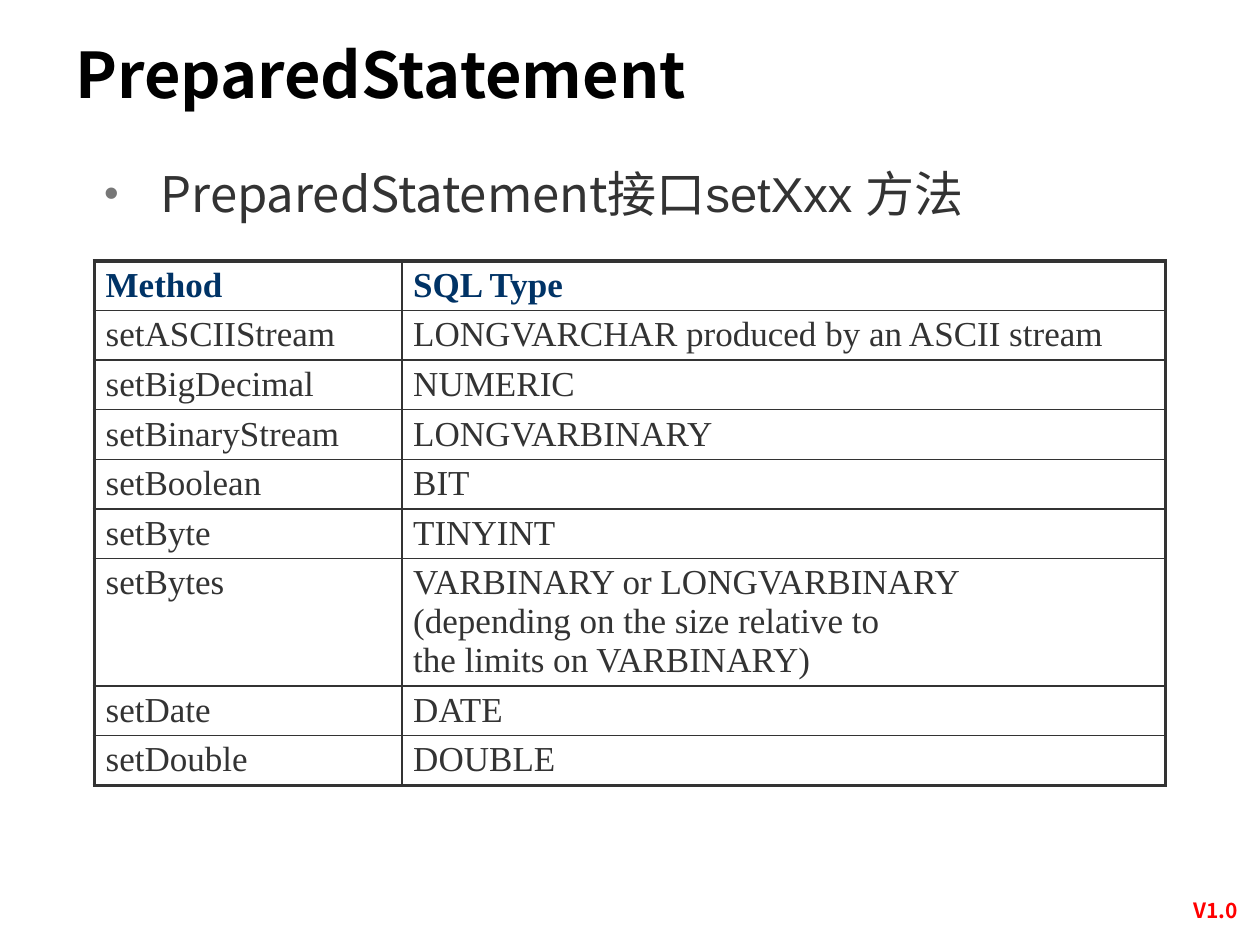
from pptx import Presentation
from pptx import util as u
from pptx.dml import color
from pptx.enum import text
from pptx.oxml import parse_xml
from pptx.oxml.ns import nsdecls

SANS = "Noto Sans CJK SC"
SERIF = "Times New Roman"
ROWS = [
    ("Method", "SQL Type"),
    ("setASCIIStream", "LONGVARCHAR produced by an ASCII stream"),
    ("setBigDecimal", "NUMERIC"),
    ("setBinaryStream", "LONGVARBINARY"),
    ("setBoolean", "BIT"),
    ("setByte", "TINYINT"),
    ("setBytes", "VARBINARY or LONGVARBINARY\n"
                 "(depending on the size relative to\n"
                 "the limits on VARBINARY)"),
    ("setDate", "DATE"),
    ("setDouble", "DOUBLE"),
]


def rgb(code):
    """Turn a hex string into a colour."""
    return color.RGBColor.from_string(code)


def style(run, size, face, code, bold=False, asian=SANS):
    """Format one run."""
    font = run.font
    font.size, font.name, font.bold = u.Pt(size), face, bold
    font.color.rgb = rgb(code)
    latin = run._r.get_or_add_rPr().find(".//{*}latin")
    latin.addnext(parse_xml(f'<a:ea {nsdecls("a")} typeface="{asian}"/>'))


def place(shape, left, top, width, height):
    """Move and size a shape, in centimetres."""
    shape.left, shape.top = u.Cm(left), u.Cm(top)
    shape.width, shape.height = u.Cm(width), u.Cm(height)


def frame(shape, side, edge):
    """Prepare a top-anchored text frame with the given insets."""
    box = shape.text_frame
    box.word_wrap = True
    box.auto_size = text.MSO_AUTO_SIZE.NONE
    box.vertical_anchor = text.MSO_ANCHOR.TOP
    box.margin_left = box.margin_right = u.Cm(side)
    box.margin_top = box.margin_bottom = u.Cm(edge)
    return box


def title(slide):
    """Fill the title."""
    shape = slide.shapes.title
    place(shape, 1.27, 0.76, 22.86, 1.52)
    box = frame(shape, 0.25, 0.13)
    box.text = "PreparedStatement"
    para = box.paragraphs[0]
    para.alignment = text.PP_ALIGN.LEFT
    para.line_spacing = 0.9
    style(para.runs[0], 36, SANS, "000000", True)


def body(slide):
    """Fill the bulleted line."""
    shape = slide.placeholders[1]
    place(shape, 1.9, 3.33, 21.41, 11.46)
    para = frame(shape, 0.2, 0.1).paragraphs[0]
    para.line_spacing, para.space_before = 0.9, u.Pt(0)
    for words, face in (("PreparedStatement接口", SANS), ("setXxx 方法", "Arial")):
        run = para.add_run()
        run.text = words
        style(run, 28, face, "333333")
    props = para._p.get_or_add_pPr()
    props.set("marL", str(u.Cm(1.14)))
    props.set("indent", str(u.Cm(-1.14)))
    for item in ('buClr {}><a:srgbClr val="777777"/></a:buClr>',
                 'buSzPct {} val="85000"/>', 'buFont {} typeface="Arial"/>',
                 'buChar {} char="•"/>'):
        props.append(parse_xml("<a:" + item.format(nsdecls("a"))))


def border(cell, widths):
    """Draw the left, right, top and bottom borders of a cell."""
    props = cell._tc.get_or_add_tcPr()
    for spot, (side, width) in enumerate(zip("LRTB", widths)):
        props.insert(spot, parse_xml(
            f'<a:ln{side} {nsdecls("a")} w="{u.Pt(width)}"><a:solidFill>'
            f'<a:srgbClr val="333333"/></a:solidFill></a:ln{side}>'))


def grid(slide):
    """Add the table of methods."""
    last = len(ROWS) - 1
    table = slide.shapes.add_table(
        len(ROWS), 2, u.Cm(1.9), u.Cm(5.26), u.Cm(21.6), u.Cm(10.57)).table
    table.first_row = table.horz_banding = False
    for col, width in zip(table.columns, (6.2, 15.4)):
        col.width = u.Cm(width)
    for i, row in enumerate(ROWS):
        table.rows[i].height = u.Cm(2.57 if "\n" in row[1] else 1)
        for j, words in enumerate(row):
            cell = table.cell(i, j)
            cell.fill.background()
            cell.margin_left = cell.margin_right = u.Cm(0.23)
            cell.margin_top = cell.margin_bottom = u.Cm(0.1)
            outer = (j == 0, j == 1, i == 0, i == last)
            border(cell, [2.25 if edge else 1 for edge in outer])
            cell.text_frame.text = words
            for para in cell.text_frame.paragraphs:
                style(para.runs[0], 20, SERIF, "333333" if i else "003366",
                      i == 0, SERIF)


def label(slide):
    """Add the version label."""
    shape = slide.shapes.add_textbox(0, 0, 0, 0)
    place(shape, 23.5, 17.96, 2, 0.76)
    box = frame(shape, 0.25, 0.13)
    box.text = "V1.0"
    para = box.paragraphs[0]
    para.alignment = text.PP_ALIGN.CENTER
    style(para.runs[0], 12, SANS, "FF0000", True)


def main():
    """Build and save the slide."""
    deck = Presentation()
    deck.slide_width, deck.slide_height = u.Cm(25.4), u.Cm(19.05)
    slide = deck.slides.add_slide(deck.slide_layouts[1])
    for part in (label, title, grid, body):
        part(slide)
    deck.save("out.pptx")


if __name__ == "__main__":
    main()
